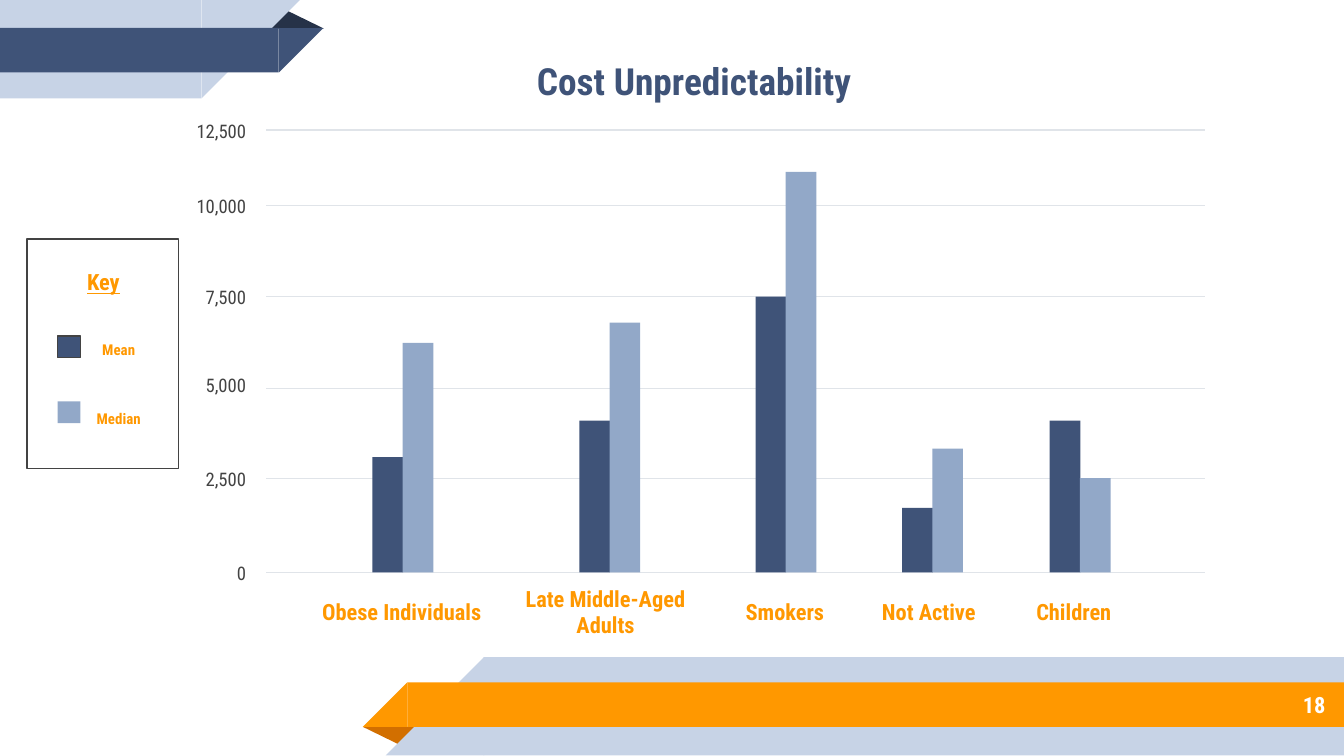
from dataclasses import dataclass

from lxml import etree
from pptx import Presentation
from pptx.dml.color import RGBColor
from pptx.enum import shapes, text
from pptx.oxml import ns
from pptx.util import Cm, Pt


@dataclass(frozen=True)
class Theme:
    font: str = "Roboto Condensed"
    navy: str = "3F5378"
    dark_navy: str = "263248"
    blue: str = "92A8C8"
    pale: str = "C7D3E6"
    orange: str = "FF9800"
    dark_orange: str = "D26F00"
    gray: str = "434343"
    grid: str = "E0E4E9"
    white: str = "FFFFFF"
    title_size: int = 20
    label_size: int = 12
    axis_size: int = 10
    key_size: int = 8
    line_width: float = 0.75


theme = Theme()
RECT = shapes.MSO_SHAPE.RECTANGLE
TRIANGLE = shapes.MSO_SHAPE.ISOSCELES_TRIANGLE
CORNER = shapes.MSO_SHAPE.RIGHT_TRIANGLE
CENTER, RIGHT = text.PP_ALIGN.CENTER, text.PP_ALIGN.RIGHT

presentation = Presentation()
presentation.slide_width, presentation.slide_height = Cm(25.4), Cm(14.29)
slide = presentation.slides.add_slide(presentation.slide_layouts[6])


def add_block(kind, box, fill=None, line=None):
    """Add a preset shape; box is left, top, width, height in cm."""
    shape = slide.shapes.add_shape(kind, *map(Cm, box))
    shape.shadow.inherit = False
    if fill:
        shape.fill.solid()
        shape.fill.fore_color.rgb = RGBColor.from_string(fill)
    else:
        shape.fill.background()
    if line:
        shape.line.color.rgb = RGBColor.from_string(line)
        shape.line.width = Pt(theme.line_width)
    else:
        shape.line.fill.background()
    return shape


def add_label(words, box, size, color, align=CENTER, bold=True, inset=0.25):
    """Add one paragraph of text and return it; box is in cm."""
    frame = slide.shapes.add_textbox(*map(Cm, box)).text_frame
    frame.word_wrap = True
    frame.vertical_anchor = text.MSO_ANCHOR.MIDDLE if inset else text.MSO_ANCHOR.TOP
    frame.margin_left = frame.margin_right = Cm(inset)
    frame.margin_top = frame.margin_bottom = Cm(inset)
    paragraph = frame.paragraphs[0]
    paragraph.text = words
    paragraph.alignment = align
    paragraph.font.name = theme.font
    paragraph.font.size = Pt(size)
    paragraph.font.bold = bold
    paragraph.font.color.rgb = RGBColor.from_string(color)
    return paragraph


# Ribbons: bottom right, then top left (kind, box, colour, rotation)
ribbons = [
    (TRIANGLE, (6.86, 13.74, 1.09, 0.36), theme.dark_orange, 180),
    (RECT, (9.14, 12.42, 16.26, 1.86), theme.pale, 0),
    (CORNER, (7.29, 12.42, 1.86, 1.86), theme.pale, 0),
    (RECT, (7.7, 12.9, 17.7, 0.84), theme.orange, 0),
    (CORNER, (6.86, 12.9, 0.84, 0.84), theme.orange, 0),
    (TRIANGLE, (5.03, 0.18, 1.09, 0.36), theme.dark_navy, 0),
    (RECT, (0, 0, 3.81, 1.86), theme.pale, 0),
    (CORNER, (3.81, 0, 1.86, 1.86), theme.pale, 180),
    (RECT, (0, 0.53, 5.27, 0.84), theme.navy, 0),
    (CORNER, (5.27, 0.53, 0.84, 0.84), theme.navy, 180),
]
for kind, box, color, rotation in ribbons:
    shape = add_block(kind, box, color)
    shape.rotation = rotation
    if kind == TRIANGLE:
        shape.adjustments[0] = 0.324
    if kind == CORNER:
        shape._element.spPr.xfrm.set("flipH", "1")

add_label("18", (21.16, 12.88, 4.14, 0.89), theme.label_size, theme.white, RIGHT)
add_label("Cost Unpredictability", (5.82, 0.46, 14.6, 2.13), theme.title_size, theme.navy)

# Grid lines and axis labels (label, line height, label top)
axis = [
    ("12,500", 2.46, 2.26),
    ("10,000", 3.89, 3.68),
    ("7,500", 5.61, 5.41),
    ("5,000", 7.34, 7.06),
    ("2,500", 9.04, 8.84),
    ("0", 10.82, 10.62),
]
for words, y, top in axis:
    line = slide.shapes.add_connector(
        shapes.MSO_CONNECTOR.STRAIGHT, Cm(5.03), Cm(y), Cm(22.78), Cm(y))
    line.line.color.rgb = RGBColor.from_string(theme.grid)
    line.line.width = Pt(theme.line_width)
    etree.SubElement(line._element.spPr, ns.qn("a:effectLst"))
    add_label(words, (3.58, top, 1.07, 0.41), theme.axis_size, theme.gray,
              RIGHT, bold=False, inset=0)

# Bars (category, label left, label width, bars left, mean height, median height)
baseline, bar_width, bar_step = 10.82, 0.58, 0.57
categories = [
    ("Obese Individuals", 5.69, 3.81, 7.04, 2.18, 4.34),
    ("Late Middle-Aged Adults", 9.3, 4.29, 10.95, 2.87, 4.72),
    ("Smokers", 13.64, 2.39, 14.28, 5.21, 7.57),
    ("Not Active", 16.36, 2.39, 17.05, 1.22, 2.34),
    ("Children", 19.1, 2.39, 19.84, 2.87, 1.78),
]
for words, label_left, label_width, left, mean, median in categories:
    for x, height, color in ((left, mean, theme.navy),
                             (left + bar_step, median, theme.blue)):
        add_block(RECT, (x, baseline - height, bar_width, height), color)
    paragraph = add_label(words, (label_left, 10.95, label_width, 1.22),
                          theme.label_size, theme.orange)
    paragraph.space_before, paragraph.space_after = Pt(6), Pt(10)

# Key
add_block(RECT, (0.51, 4.52, 2.87, 4.34), line=theme.gray)
heading = add_label("Key", (0.05, 4.72, 3.81, 1.22), theme.label_size, theme.orange)
heading.font.underline = True
heading.space_before, heading.space_after = Pt(6), Pt(10)
for words, top, height, fill, outline in (
        ("Mean", 6.35, 0.53, theme.navy, theme.gray),
        ("Median", 7.59, 0.64, theme.blue, None)):
    add_block(RECT, (1.09, top, 0.43, 0.41), fill, outline)
    paragraph = add_label(words, (1.32, top, 1.85, height), theme.key_size, theme.orange)
    paragraph.space_before, paragraph.space_after = Pt(6), Pt(10)

presentation.save("out.pptx")
